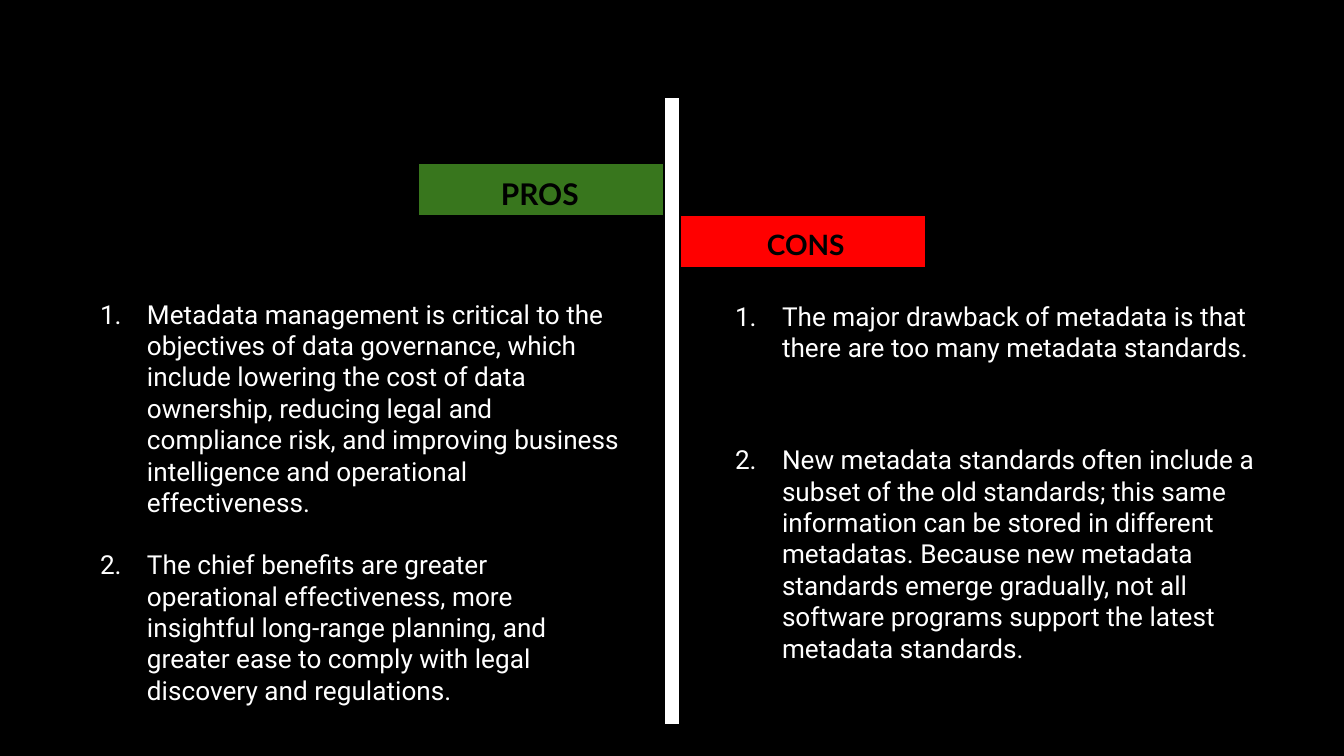
from lxml.etree import SubElement
from pptx import Presentation
from pptx.dml.color import RGBColor
from pptx.enum.shapes import MSO_SHAPE as Shape
from pptx.enum.text import MSO_ANCHOR as Anchor, MSO_AUTO_SIZE as AutoSize
from pptx.enum.text import PP_ALIGN as Align
from pptx.oxml.ns import qn
from pptx.util import Emu, Pt

EMU_PER_PX = 914400 / 134.4
BLACK, WHITE, GREEN, RED = "000000", "FFFFFF", "38761D", "FF0000"
INSET = 13

PROS = [
    "Metadata management is critical to the objectives of data governance, "
    "which include lowering the cost of data ownership, reducing legal and "
    "compliance risk, and improving business intelligence and operational "
    "effectiveness.",
    "The chief benefits are greater operational effectiveness, more insightful "
    "long-range planning, and greater ease to comply with legal discovery and "
    "regulations.",
]
CONS = [
    "The major drawback of metadata is that there are too many metadata "
    "standards.",
    "New metadata standards often include a subset of the old standards; this "
    "same information can be stored in different metadatas. Because new "
    "metadata standards emerge gradually, not all software programs support "
    "the latest metadata standards.",
]


def px(length):
    """Turn a length in px into EMU."""
    return Emu(round(length * EMU_PER_PX))


def color(hex_code):
    """Turn a hex string into a colour."""
    return RGBColor.from_string(hex_code)


def place(part, box):
    """Move and size a part to a box of left, top, width and height."""
    part.left, part.top, part.width, part.height = map(px, box)


def number(paragraph, font, hex_code):
    """Give a paragraph a hanging automatic number."""
    properties = paragraph._p.get_or_add_pPr()
    properties.set("marL", str(px(67)))
    properties.set("indent", str(px(-47)))
    bullet_color = SubElement(properties, qn("a:buClr"))
    SubElement(bullet_color, qn("a:srgbClr"), val=hex_code)
    SubElement(properties, qn("a:buFont"), typeface=font)
    SubElement(properties, qn("a:buAutoNum"), type="arabicPeriod")


def write(holder, lines, *, font, size, ink, bold=False, numbered=False,
          gap=0, top_inset=INSET):
    """Write formatted paragraphs into a text holder."""
    frame = holder.text_frame
    frame.word_wrap = True
    frame.auto_size = AutoSize.NONE
    frame.vertical_anchor = Anchor.TOP
    frame.margin_left = frame.margin_right = frame.margin_bottom = px(INSET)
    frame.margin_top = px(top_inset)
    for index, line in enumerate(lines):
        paragraph = frame.add_paragraph() if index else frame.paragraphs[0]
        if numbered:
            number(paragraph, font, ink)
        paragraph.alignment = Align.LEFT
        paragraph.line_spacing = 1.0
        paragraph.space_before = px(gap if index else 0)
        run = paragraph.add_run()
        run.text = line
        run.font.name, run.font.size, run.font.bold = font, Pt(size), bold
        run.font.color.rgb = color(ink)


def add_bar(slide, box, fill):
    """Add a filled rectangle with a thin black outline."""
    bar = slide.shapes.add_shape(Shape.RECTANGLE, *map(px, box))
    bar.shadow.inherit = False
    bar.fill.solid()
    bar.fill.fore_color.rgb = color(fill)
    bar.line.color.rgb = color(BLACK)
    bar.line.width = Pt(0.75)


def add_badge(slide, box, heading, fill, size, indent):
    """Add a coloured badge with its heading."""
    left, top, _, _ = box
    add_bar(slide, box, fill)
    label = slide.shapes.add_textbox(*map(px, (left + indent, top, 122, 31)))
    write(label, [heading], font="Lato", size=size, ink=BLACK, bold=True)


def fill_list(placeholder, box, points, gap, top_inset=INSET):
    """Place a numbered list of points in a body placeholder."""
    place(placeholder, box)
    write(placeholder, points, font="Roboto", size=14, ink=WHITE,
          numbered=True, gap=gap, top_inset=top_inset)


def build():
    """Build and save the pros and cons slide."""
    deck = Presentation()
    deck.slide_width, deck.slide_height = px(1344), px(756)
    slide = deck.slides.add_slide(deck.slide_layouts[3])
    slide.background.fill.solid()
    slide.background.fill.fore_color.rgb = color(BLACK)
    title, pros_list, cons_list = slide.placeholders
    title.element.getparent().remove(title.element)

    add_bar(slide, (664, 97, 16, 628), WHITE)
    add_badge(slide, (418, 163, 246, 53), "PROS", GREEN, 16, 70)
    add_badge(slide, (680, 215, 246, 53), "CONS", RED, 15, 74)
    fill_list(pros_list, (67, 285, 569, 456), PROS, 31)
    fill_list(cons_list, (702, 215, 569, 487), CONS, 81, 85)
    deck.save("out.pptx")


if __name__ == "__main__":
    build()
